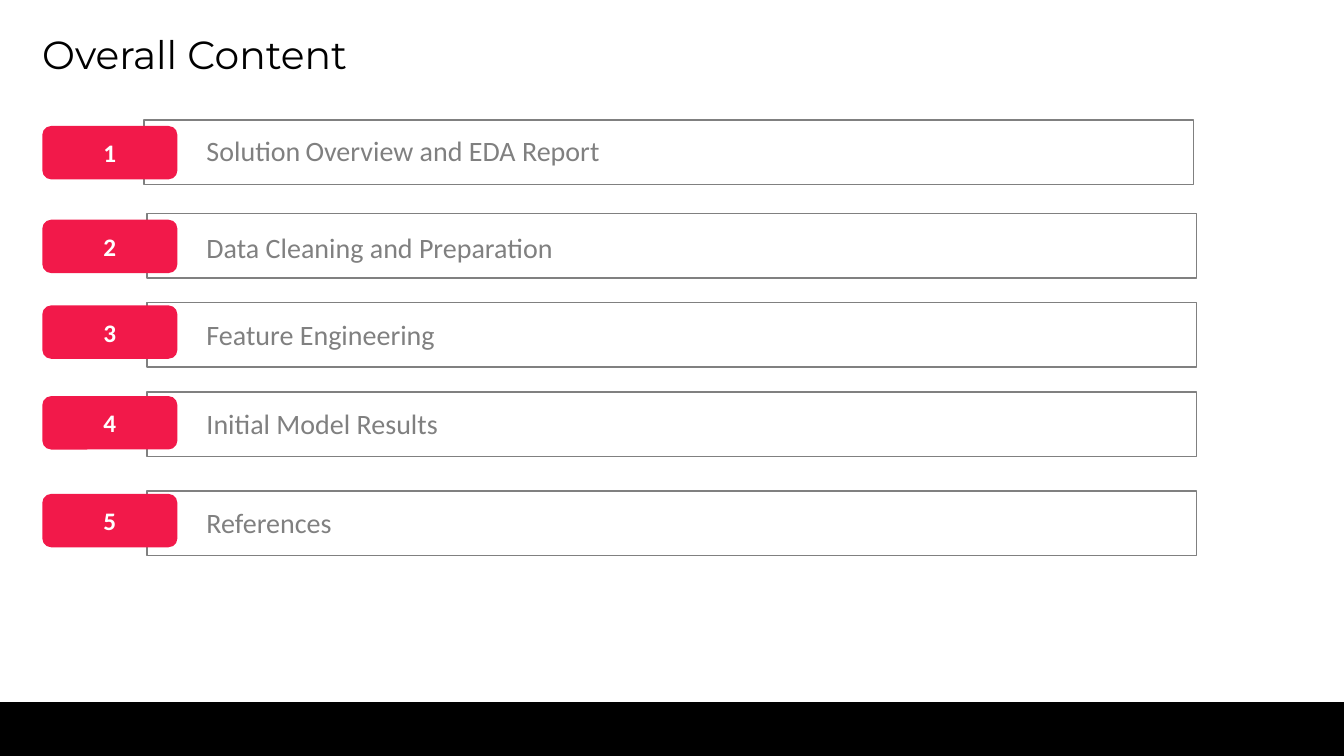
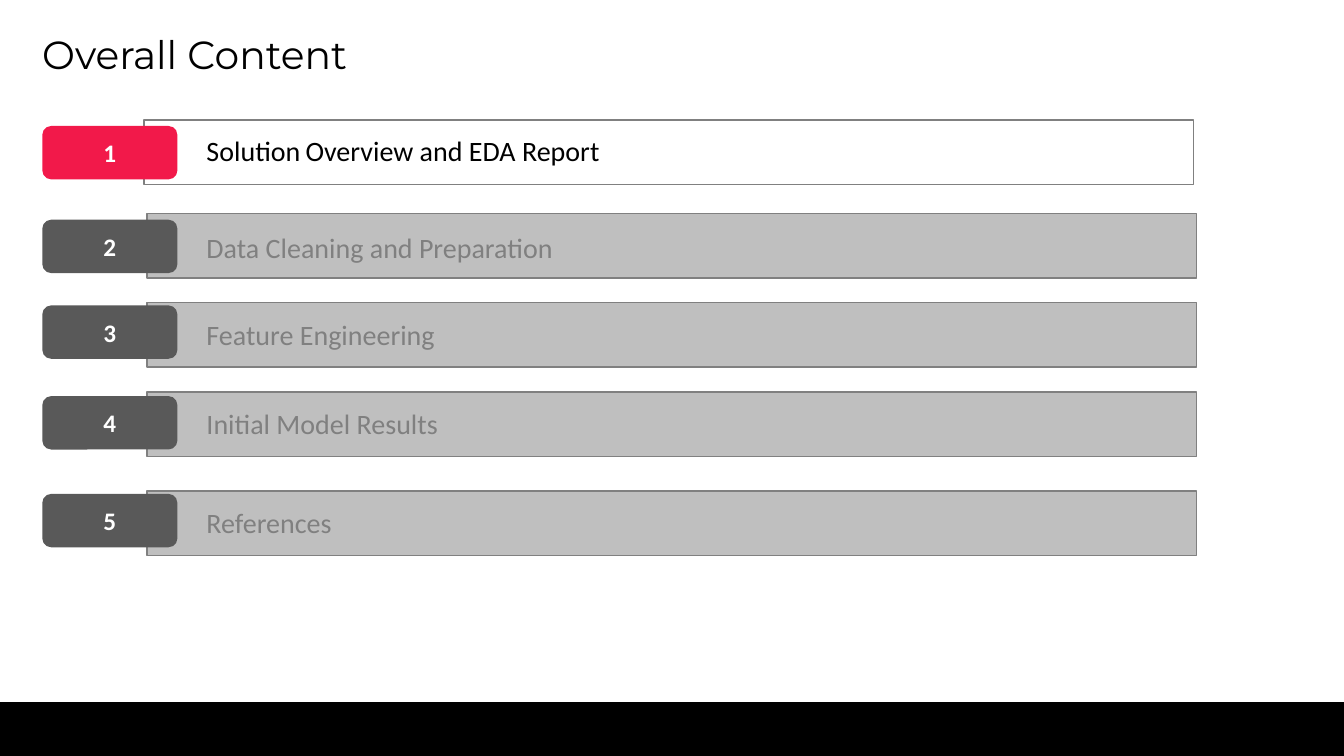
import collections

import pptx
import pptx.dml.color
import pptx.enum.shapes
import pptx.enum.text
import pptx.util

CELL = pptx.util.Inches(0.1)
SLIDE_COLUMNS, SLIDE_ROWS = 133.33, 75
BAND_ROWS = 5.3
TEXT_COLUMNS, TEXT_ROWS = 76.5, 5.9
BAR_COLUMNS, BAR_ROWS = 104.1, 6.4
BADGE_COLUMN, BADGE_COLUMNS, BADGE_ROWS = 4.2, 13.4, 5.3
LABEL_COLUMN = 19.5

BLACK, WHITE, GREY = "000000", "FFFFFF", "808080"
RED, DARK_GREY, LIGHT_GREY = "F2194A", "595959", "BFBFBF"

SHAPES = pptx.enum.shapes.MSO_SHAPE
ANCHORS = pptx.enum.text.MSO_ANCHOR
ALIGNMENTS = pptx.enum.text.PP_ALIGN

Style = collections.namedtuple("Style", "bar badge label")
OPEN = Style(None, RED, GREY)
ACTIVE = Style(None, RED, BLACK)
MUTED = Style(LIGHT_GREY, DARK_GREY, GREY)

Entry = collections.namedtuple("Entry", "spans bar_column bar_row badge_row label_row")
ENTRIES = [
    Entry([("Solution", None), (" ", 16), ("Overview and EDA Report", None)],
          14.3, 11.9, 12.5, 12.2),
    Entry([("Data Cleaning and Preparation", None)], 14.6, 21.2, 21.8, 21.8),
    Entry([("Feature Engineering", None)], 14.6, 30, 30.3, 30.4),
    Entry([("Initial Model Results", None)], 14.6, 38.9, 39.3, 39.3),
    Entry([("References", None)], 14.6, 48.7, 49, 49.1),
]


def color(value):
    return pptx.dml.color.RGBColor.from_string(value)


def grid(*cells):
    return [round(CELL * cell) for cell in cells]


def add_box(page, kind, cells, fill=None, line=None):
    box = page.shapes.add_shape(kind, *grid(*cells))
    box.shadow.inherit = False
    if fill:
        box.fill.solid()
        box.fill.fore_color.rgb = color(fill)
    else:
        box.fill.background()
    if line:
        box.line.color.rgb = color(line)
        box.line.width = pptx.util.Pt(1)
    else:
        box.line.fill.background()
    return box


def write(box, spans, font, size, ink, anchor, bold=False):
    frame = box.text_frame
    frame.word_wrap = True
    frame.vertical_anchor = anchor
    para = frame.paragraphs[0]
    para.font.name = font
    para.font.size = pptx.util.Pt(size)
    para.font.bold = bold
    para.font.color.rgb = color(ink)
    for text, span_size in spans:
        span = para.add_run()
        span.text = text
        if span_size:
            span.font.size = pptx.util.Pt(span_size)
    return para


def add_text(page, column, row, spans, font, size, ink, anchor):
    box = page.shapes.add_textbox(*grid(column, row, TEXT_COLUMNS, TEXT_ROWS))
    para = write(box, spans, font, size, ink, anchor)
    para.line_spacing = 0.9


def add_page(deck, title):
    page = deck.slides.add_slide(deck.slide_layouts[6])
    band = (0, SLIDE_ROWS - BAND_ROWS, SLIDE_COLUMNS, BAND_ROWS)
    add_box(page, SHAPES.RECTANGLE, band, BLACK, BLACK)
    add_text(page, 3.2, 2.3, [(title, None)], "Montserrat", 28, BLACK, ANCHORS.BOTTOM)
    return page


def add_entry(page, number, entry, style):
    bar = (entry.bar_column, entry.bar_row, BAR_COLUMNS, BAR_ROWS)
    add_box(page, SHAPES.RECTANGLE, bar, style.bar, GREY)
    cells = (BADGE_COLUMN, entry.badge_row, BADGE_COLUMNS, BADGE_ROWS)
    badge = add_box(page, SHAPES.ROUNDED_RECTANGLE, cells, style.badge)
    para = write(badge, [(str(number), None)], "Calibri", 18, WHITE, ANCHORS.MIDDLE, True)
    para.alignment = ALIGNMENTS.CENTER
    add_text(page, LABEL_COLUMN, entry.label_row, entry.spans,
             "Calibri", 20, style.label, ANCHORS.MIDDLE)


def add_agenda(deck, styles):
    page = add_page(deck, "Overall Content")
    for number, (entry, style) in enumerate(zip(ENTRIES, styles), 1):
        add_entry(page, number, entry, style)


def main():
    deck = pptx.Presentation()
    deck.slide_width, deck.slide_height = grid(SLIDE_COLUMNS, SLIDE_ROWS)
    add_agenda(deck, [OPEN] * len(ENTRIES))
    add_agenda(deck, [ACTIVE] + [MUTED] * (len(ENTRIES) - 1))
    deck.save("out.pptx")


if __name__ == "__main__":
    main()
